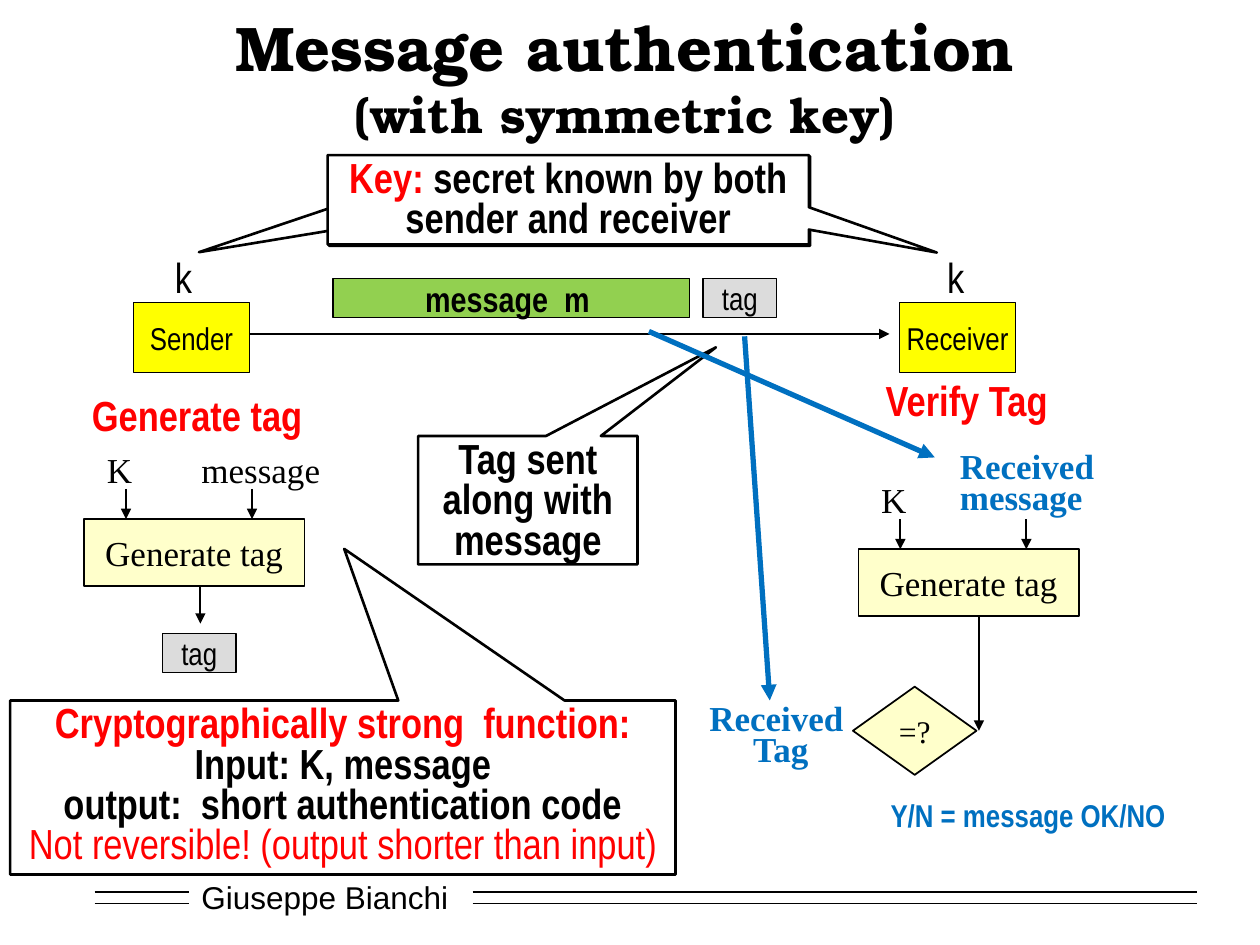
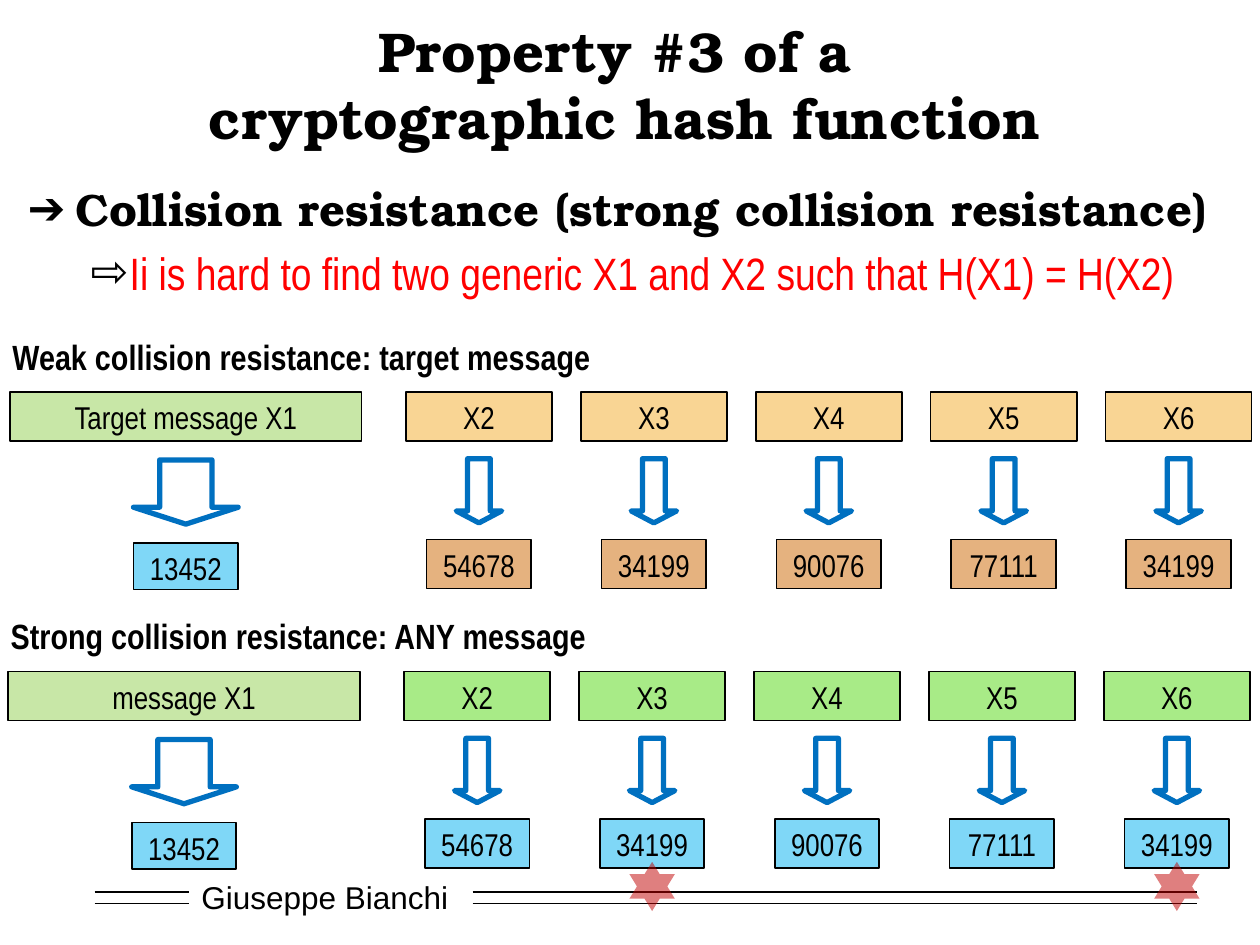
"""Build two lecture slides on message authentication and collision resistance."""
import copy

import pptx
import pptx.dml.color
import pptx.enum.shapes
import pptx.enum.text
import pptx.oxml.ns
import pptx.util
from lxml import etree

Pt = pptx.util.Pt
SHAPE = pptx.enum.shapes.MSO_SHAPE
ANCHOR = pptx.enum.text.MSO_ANCHOR
FIT = pptx.enum.text.MSO_AUTO_SIZE
ALIGN = pptx.enum.text.PP_ALIGN
qn = pptx.oxml.ns.qn

COLORS = {
    "black": "000000", "white": "FFFFFF", "red": "FF0000", "blue": "0070C0",
    "yellow": "FFFF00", "cream": "FFFF99", "grey": "DCDCDC", "green": "92D050",
    "lime": "53D810", "sky": "00B0F0", "amber": "F5AD2B", "brown": "CC6600",
    "crimson": "C00000",
}
TITLE_FONT, SANS, SERIF = "TeX Gyre Bonum", "Arial Narrow", "Times New Roman"
STYLES = {
    "footer": ("Arial", 18, False, "black"),
    "title": (TITLE_FONT, 36, True, "black"),
    "subtitle": (TITLE_FONT, 28, True, "black"),
    "long title": (TITLE_FONT, 32, True, "black"),
    "point": (TITLE_FONT, 25.9, True, "black"),
    "subpoint": (SANS, 25.9, False, "red"),
    "box": (SANS, 18, False, "black"),
    "message": (SANS, 20, True, "black"),
    "key": (SANS, 24, False, "black"),
    "note": (SANS, 24, True, "black"),
    "alert": (SANS, 24, True, "red"),
    "warning": (SANS, 24, False, "red"),
    "result": (SANS, 18, True, "blue"),
    "step": (SERIF, 20, False, "black"),
    "test": (SERIF, 18, False, "black"),
    "received": (SERIF, 20, True, "blue"),
}

FOOTER = "Giuseppe Bianchi "
RULE_SPANS, RULE_YS = [(54, 108), (270, 684)], (509.8, 516.3)

AUTH_TITLE = [("Message authentication\n", "title"), ("(with symmetric key)", "subtitle")]
AUTH_BOXES = [
    ("Sender", "box", "yellow", (76.3, 172.8, 66.2, 40.3)),
    ("Receiver", "box", "yellow", (514.1, 172.8, 66.2, 40.3)),
    ("message  m ", "message", "green", (190.3, 159.1, 203.9, 22.5)),
    ("tag", "box", "grey", (401.8, 159.1, 42, 22.5)),
    ("tag", "box", "grey", (92.9, 362, 42, 22.5)),
]
AUTH_LABELS = [
    ("k", "key", (92.9, 140.4, 25.9, 36)),
    ("k", "key", (534.2, 140.4, 25.9, 36)),
    ("message", "step", (108, 252.7, 82.8, 31.7)),
    ("Generate tag", "alert", (45.4, 218.9, 136, 36.7)),
    ("Verify Tag", "alert", (499, 210.2, 108, 36.7)),
    ("Y/N = message OK/NO", "result", (501.8, 451.4, 173.5, 28.8)),
]
RECEIVED = [
    (["Received ", "message"], ALIGN.LEFT, (541.4, 256.3, 97.2, 43.9)),
    (["Received ", "Tag"], ALIGN.CENTER, (398.2, 400.3, 97.2, 43.9)),
]
TAG_PANELS = [(0, 0), (442.5, 17.3)]
SECRET = [[("Key: ", "alert"), ("secret known by both sender and receiver", "note")]]
CALLOUTS = [
    (SECRET, (187.9, 89.3, 275, 51.1), (-0.77, 0.573)),
    (SECRET, (187.2, 88.6, 275, 51.1), (0.766, 0.59)),
    ([[("Cryptographically strong  function: ", "alert"),
       ("Input: K, message\noutput:  short authentication code", "note")],
      [("Not reversible! (output shorter than input)", "warning")]],
     (5.8, 400.3, 380.2, 99.4), (0.002, -1.372)),
    ([[("Tag sent along with message", "note")]], (239, 249.1, 125.3, 73.4), (0.858, -1.19)),
]
AUTH_ARROWS = [
    ((142.6, 190.8), (508.3, 190.8), "black", 0.75),
    ((114.5, 334.8), (114.5, 356.4), "black", 1),
    ((559.4, 352.1), (559.4, 417.6), "black", 1),
    ((425.5, 192.2), (439.9, 400.3), "blue", 3),
    ((370.8, 189.4), (534.2, 261.4), "blue", 3),
]

HASH_TITLE = [("Property #3 of a \ncryptographic hash function", "long title")]
HASH_POINTS = [
    ("Collision resistance (strong collision resistance)", "point", "\u2794", 27.4, -27.4),
    ("Ii is hard to find two generic X1 and X2 such that H(X1) = H(X2) ", "subpoint",
     "\u21e8", 58.3, -22.3),
]
HASHES = ["13452", "54678", "34199", "90076", "77111", "34199"]
HASH_ROWS = [
    {"heading": "Weak collision resistance: target message", "first": "Target message X1",
     "fill": "amber", "hash": "brown", "dx": 0, "dy": 0, "stars": False},
    {"heading": "Strong collision resistance: ANY message", "first": "message X1",
     "fill": "lime", "hash": "sky", "dx": -1, "dy": 159.8, "stars": True},
]
FIRST_CENTER, COLUMN_CENTER, COLUMN_STEP = 106.2, 273.7, 99.95


def rgb(name):
    return pptx.dml.color.RGBColor.from_string(COLORS[name])


def apply(obj, values):
    for key, value in values.items():
        setattr(obj, key, value)


def write(tf, paragraphs, align=ALIGN.LEFT, **formats):
    for i, runs in enumerate(paragraphs):
        p = tf.paragraphs[0] if i == 0 else tf.add_paragraph()
        apply(p, {"alignment": align, **formats})
        for text, style in runs:
            name, size, bold, color = STYLES[style]
            for j, line in enumerate(text.split("\n")):
                if j:
                    p.add_line_break()
                    p._p[-1].append(copy.deepcopy(r._r.rPr))
                if line:
                    r = p.add_run()
                    r.text = line
                    apply(r.font, {"name": name, "size": Pt(size), "bold": bold})
                    r.font.color.rgb = rgb(color)


def shape(s, kind, frame, fill=None, line="black", width=1, half=False, adj=()):
    sp = s.shapes.add_shape(kind, *map(Pt, frame))
    sp.shadow.inherit = False
    for i, value in enumerate(adj):
        sp.adjustments[i] = value
    if fill:
        sp.fill.solid()
        sp.fill.fore_color.rgb = rgb(fill)
        if half:
            color = sp._element.spPr.find(".//" + qn("a:srgbClr"))
            etree.SubElement(color, qn("a:alpha"), val="50000")
    else:
        sp.fill.background()
    if line:
        sp.line.color.rgb = rgb(line)
        sp.line.width = Pt(width)
    else:
        sp.line.fill.background()
    return sp


def box(s, text, style, fill, frame, kind=SHAPE.RECTANGLE, middle=True, **look):
    tf = shape(s, kind, frame, fill, **look).text_frame
    apply(tf, {"word_wrap": not middle,
               "vertical_anchor": ANCHOR.MIDDLE if middle else ANCHOR.TOP})
    write(tf, [[(text, style)]], ALIGN.CENTER)


def label(s, paragraphs, frame, **formats):
    tf = s.shapes.add_textbox(*map(Pt, frame)).text_frame
    apply(tf, {"word_wrap": False, "auto_size": FIT.SHAPE_TO_FIT_TEXT})
    write(tf, paragraphs, **formats)
    return tf


def connect(s, start, end, color="black", width=1, arrow=True):
    c = s.shapes.add_connector(pptx.enum.shapes.MSO_CONNECTOR.STRAIGHT,
                               *map(Pt, (*start, *end)))
    c.line.color.rgb = rgb(color)
    c.line.width = Pt(width)
    spPr = c._element.spPr
    if arrow:
        etree.SubElement(spPr.find(qn("a:ln")), qn("a:tailEnd"), type="triangle")
    etree.SubElement(spPr, qn("a:effectLst"))


def place(holder, frame, anchor):
    apply(holder, dict(zip(("left", "top", "width", "height"), map(Pt, frame))))
    apply(holder.text_frame, {"word_wrap": True, "auto_size": FIT.NONE,
                              "vertical_anchor": anchor})
    return holder.text_frame


def new_slide(prs, layout, title, top, height):
    s = prs.slides.add_slide(prs.slide_layouts[layout])
    tf = place(s.shapes.title, (54, top, 606.2, height), ANCHOR.MIDDLE)
    write(tf, [title], ALIGN.CENTER)
    tf = shape(s, SHAPE.RECTANGLE, (108, 498.2, 156.2, 28.8), "white", None).text_frame
    apply(tf, {"word_wrap": True, "vertical_anchor": ANCHOR.MIDDLE})
    write(tf, [[(FOOTER, "footer")]])
    for y in RULE_YS:
        for left, right in RULE_SPANS:
            connect(s, (left, y), (right, y), arrow=False)
    return s


def authentication(prs):
    s = new_slide(prs, 5, AUTH_TITLE, 18, 51.1)
    for text, style, fill, frame in AUTH_BOXES:
        box(s, text, style, fill, frame, width=0.75)
    for text, style, frame in AUTH_LABELS:
        label(s, [[(text, style)]], frame)
    for lines, last, frame in RECEIVED:
        tf = label(s, [[(line, "received")] for line in lines], frame, line_spacing=Pt(18))
        tf.paragraphs[-1].alignment = last
    for dx, dy in TAG_PANELS:
        label(s, [[("K", "step")]], (54 + dx, 252.7 + dy, 28.8, 31))
        box(s, "Generate tag", "step", "cream", (48 + dx, 296.6 + dy, 126, 38.2), half=True)
        for x in (72 + dx, 144 + dx):
            connect(s, (x, 279.4 + dy), (x, 296.6 + dy))
    box(s, "=?", "test", "cream", (487.4, 392.4, 70.6, 50.4), SHAPE.FLOWCHART_DECISION,
        half=True)
    for paragraphs, frame, adj in CALLOUTS:
        tf = shape(s, SHAPE.RECTANGULAR_CALLOUT, frame, "white", width=1.5, adj=adj).text_frame
        apply(tf, {"word_wrap": True, "vertical_anchor": ANCHOR.TOP})
        write(tf, paragraphs, ALIGN.CENTER, line_spacing=0.8)
    for arrow in AUTH_ARROWS:
        connect(s, *arrow)


def hash_row(s, row):
    dx, dy = row["dx"], row["dy"]
    label(s, [[(row["heading"], "message")]], (dx, 188 + dy, 347, 31.7))
    for i, value in enumerate(HASHES):
        if i == 0:
            center, text, width, arrow = FIRST_CENTER + dx, row["first"], 200.9, 59.8
            fill, hash_fill, arrow_y, y, height = "green", "sky", 262.8, 310.3, 26.6
        else:
            center = COLUMN_CENTER + (i - 1) * COLUMN_STEP + dx
            text, width, arrow = f"X{i + 1}", 83.5, 26
            fill, hash_fill, arrow_y, y, height = row["fill"], row["hash"], 262.1, 308.2, 28.1
        box(s, text, "box", fill, (center - width / 2, 223.9 + dy, width, 28.1),
            middle=False, half=True)
        shape(s, SHAPE.DOWN_ARROW, (center - arrow / 2, arrow_y + dy, arrow, 36.7),
              line="blue", width=3, adj=(0.5, 0.263))
        box(s, value, "box", hash_fill, (center - 29.9, y + dy, 59.8, height),
            middle=False, half=True)
        if row["stars"] and HASHES.count(value) > 1:
            shape(s, SHAPE.STAR_6_POINT, (center - 13, 492.5, 26, 28.1), "crimson", None,
                  half=True)


def collisions(prs):
    s = new_slide(prs, 1, HASH_TITLE, 3.6, 88.6)
    tf = place(s.placeholders[1], (8.6, 100.1, 700.6, 88.6), ANCHOR.TOP)
    write(tf, [[(text, style)] for text, style, *_ in HASH_POINTS], space_before=Pt(5.2))
    for level, (p, point) in enumerate(zip(tf.paragraphs, HASH_POINTS)):
        bullet, margin, indent = point[2:]
        p.level = level
        pPr = p._p.get_or_add_pPr()
        pPr.set("marL", str(Pt(margin)))
        pPr.set("indent", str(Pt(indent)))
        color = etree.SubElement(pPr, qn("a:buClr"))
        etree.SubElement(color, qn("a:srgbClr"), val=COLORS["black"])
        etree.SubElement(pPr, qn("a:buChar"), char=bullet)
    for row in HASH_ROWS:
        hash_row(s, row)


prs = pptx.Presentation()
apply(prs, {"slide_width": Pt(720), "slide_height": Pt(540)})
authentication(prs)
collisions(prs)
prs.save("out.pptx")
